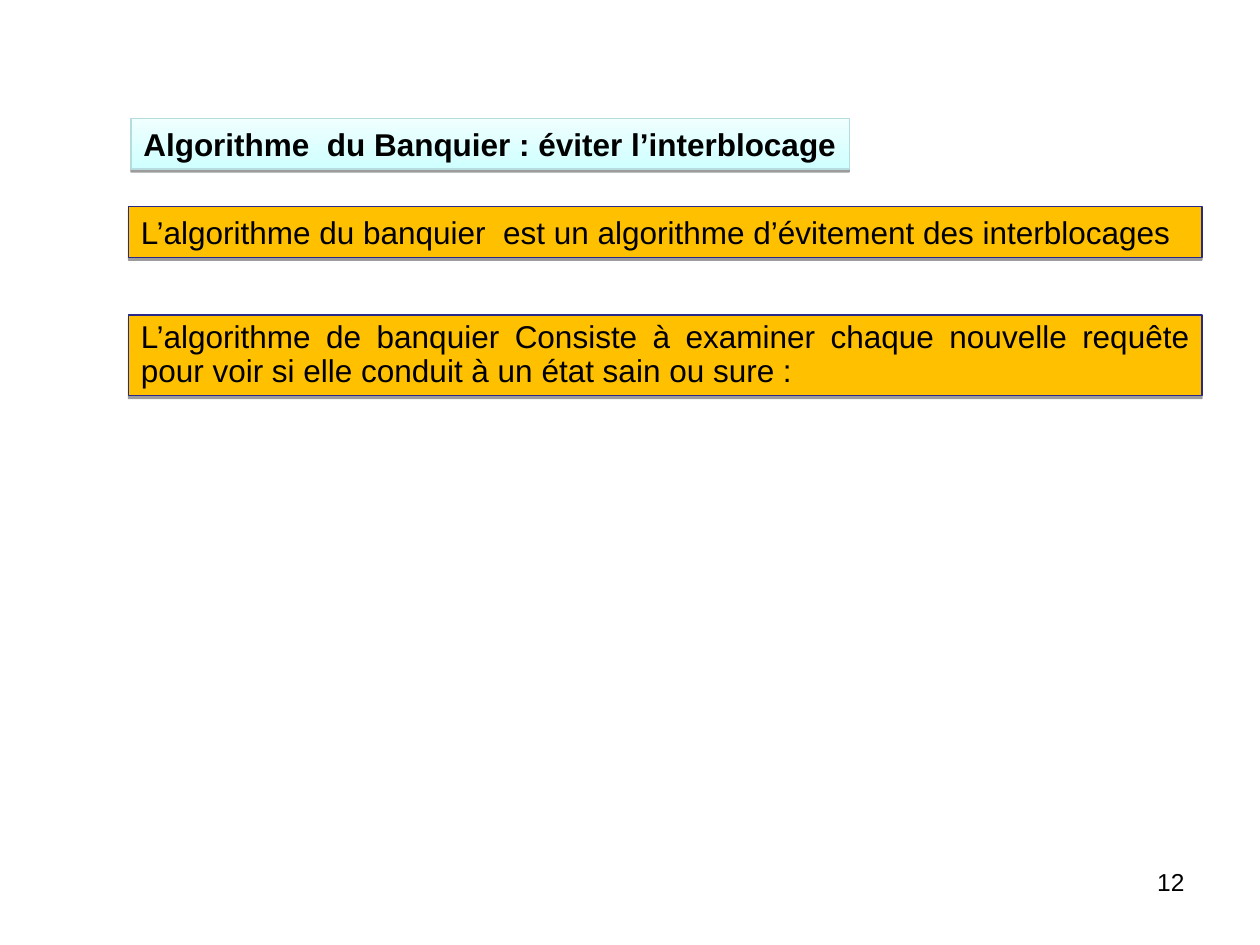
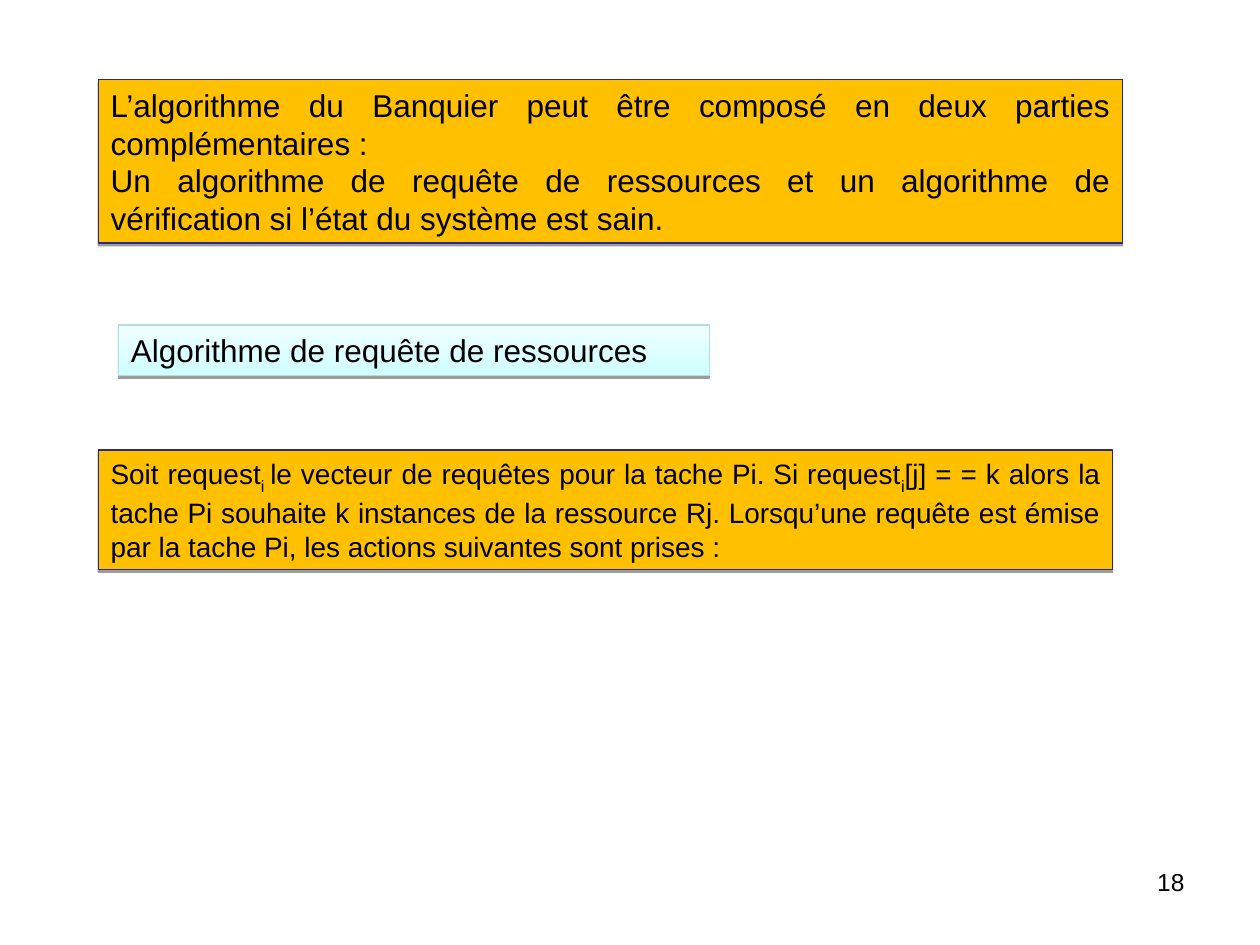
from dataclasses import dataclass

from lxml import etree
from pptx import Presentation
from pptx import util as u
from pptx.dml.color import RGBColor
from pptx.enum import shapes, text
from pptx.oxml.ns import qn

BLACK = RGBColor(0, 0, 0)
AMBER = RGBColor(0xFF, 0xC0, 0x00)
NAVY = RGBColor(0x29, 0x29, 0x89)
AQUA = RGBColor(0xCF, 0xFF, 0xFF)
PALE = RGBColor(0xF0, 0xFF, 0xFF)
TEAL = RGBColor(0xB6, 0xDC, 0xDF)
FONT = "Arial"
LEFT, RIGHT, JUST = text.PP_ALIGN.LEFT, text.PP_ALIGN.RIGHT, text.PP_ALIGN.JUSTIFY
TOP, MID = text.MSO_ANCHOR.TOP, text.MSO_ANCHOR.MIDDLE


@dataclass(frozen=True)
class Sub:
    """Text set as a subscript."""
    text: str


@dataclass(frozen=True)
class Box:
    """Place in centimetres, and paragraphs as tuples of runs."""
    left: float
    top: float
    width: float
    height: float
    paras: tuple
    size: int = 18
    bold: bool = False
    wrap: bool = True
    space: float = 1.0
    anchor: text.MSO_ANCHOR = TOP


@dataclass(frozen=True)
class Page:
    number: str
    title: Box
    notes: tuple


PAGES = (
    Page(
        "12",
        Box(2.64, 2.39, 14.48, 1.02,
            (("Algorithme  du Banquier : éviter l’interblocage",),),
            bold=True, wrap=False),
        (
            Box(2.59, 4.17, 21.64, 1.02,
                (("L’algorithme du banquier  est un algorithme "
                  "d’évitement des interblocages",),)),
            Box(2.59, 6.35, 21.64, 1.63,
                (("L’algorithme de banquier Consiste à examiner chaque nouvelle "
                  "requête pour voir si elle conduit à un état sain ou sure :",),),
                space=0.9),
        ),
    ),
    Page(
        "18",
        Box(2.39, 6.55, 11.91, 1.02, (("Algorithme de requête de ressources",),)),
        (
            Box(1.98, 1.6, 20.65, 3.3,
                (("L’algorithme du Banquier peut être composé en deux parties "
                  "complémentaires : ",),
                 ("Un algorithme de requête de ressources et un algorithme de "
                  "vérification si l’état du système est sain.",))),
            Box(1.98, 9.07, 20.45, 2.41,
                (("Soit request", Sub("i "),
                  "le vecteur de requêtes pour la tache Pi. Si request", Sub("i"),
                  "[j] = = k alors la tache Pi souhaite k instances de la "
                  "ressource Rj. Lorsqu’une requête est émise par la tache Pi, "
                  "les actions suivantes sont prises :"),),
                size=16, anchor=MID),
        ),
    ),
)


def place(box: Box) -> tuple:
    return tuple(u.Cm(n) for n in (box.left, box.top, box.width, box.height))


def write(shape, box: Box, align: text.PP_ALIGN) -> None:
    frame = shape.text_frame
    frame.word_wrap = box.wrap
    frame.vertical_anchor = box.anchor
    frame.auto_size = text.MSO_AUTO_SIZE.NONE
    frame.margin_left = frame.margin_right = u.Cm(0.25)
    frame.margin_top = frame.margin_bottom = u.Cm(0.13)
    for i, parts in enumerate(box.paras):
        para = frame.add_paragraph() if i else frame.paragraphs[0]
        para.alignment = align
        para.line_spacing = box.space
        for part in parts:
            low = isinstance(part, Sub)
            run = para.add_run()
            run.text = part.text if low else part
            run.font.name = FONT
            run.font.size = u.Pt(box.size)
            run.font.bold = box.bold
            run.font.color.rgb = BLACK
            if low:
                run.font._element.set("baseline", "-30000")


def edge(shape, color: RGBColor) -> None:
    """Outline the shape and drop a thin shadow below it."""
    shape.line.color.rgb = color
    shape.line.width = u.Pt(0.75)
    props = shape._element.spPr
    list_ = props.find(qn("a:effectLst"))
    if list_ is None:
        list_ = etree.SubElement(props, qn("a:effectLst"))
    cast = etree.SubElement(list_, qn("a:outerShdw"), blurRad="0",
                            dist=str(u.Pt(1.6)), dir="5400000", rotWithShape="0")
    tint = etree.SubElement(cast, qn("a:srgbClr"), val=str(BLACK))
    etree.SubElement(tint, qn("a:alpha"), val="38000")


def add_title(slide, box: Box) -> None:
    shape = slide.shapes.title
    shape.left, shape.top, shape.width, shape.height = place(box)
    shape.fill.gradient()
    shape.fill.gradient_angle = 90
    for stop, color, pos in zip(shape.fill.gradient_stops, (AQUA, PALE), (0, 1)):
        stop.color.rgb = color
        stop.position = pos
    edge(shape, TEAL)
    write(shape, box, LEFT)


def add_note(slide, box: Box) -> None:
    shape = slide.shapes.add_shape(shapes.MSO_SHAPE.RECTANGLE, *place(box))
    shape.shadow.inherit = False
    shape.fill.solid()
    shape.fill.fore_color.rgb = AMBER
    edge(shape, NAVY)
    write(shape, box, JUST)


def add_number(slide, number: str) -> None:
    box = Box(18.21, 17.35, 5.92, 1.32, ((number,),), size=14)
    write(slide.shapes.add_textbox(*place(box)), box, RIGHT)


def main() -> None:
    deck = Presentation()
    deck.slide_width, deck.slide_height = u.Cm(25.4), u.Cm(19.05)
    plain = deck.slide_layouts.get_by_name("Title Only")
    for page in PAGES:
        slide = deck.slides.add_slide(plain)
        add_title(slide, page.title)
        for note in page.notes:
            add_note(slide, note)
        add_number(slide, page.number)
    deck.save("out.pptx")


if __name__ == "__main__":
    main()
